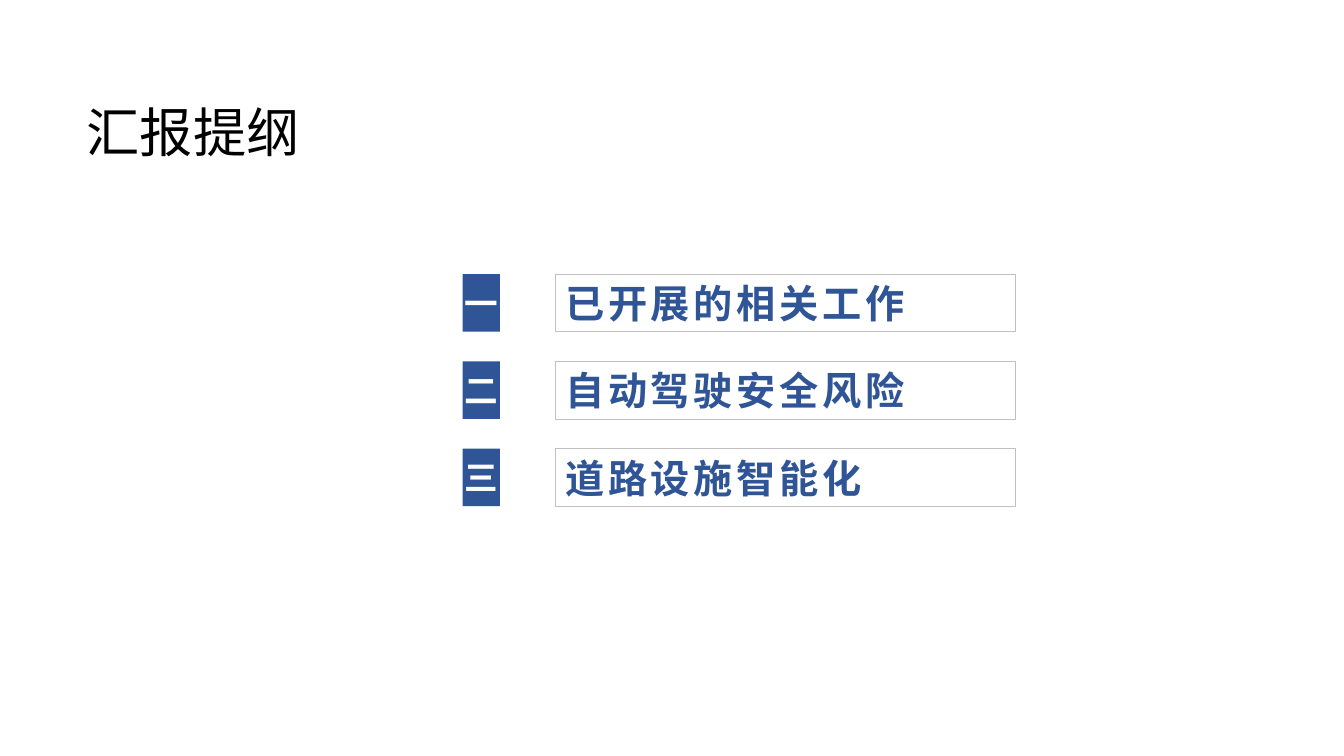
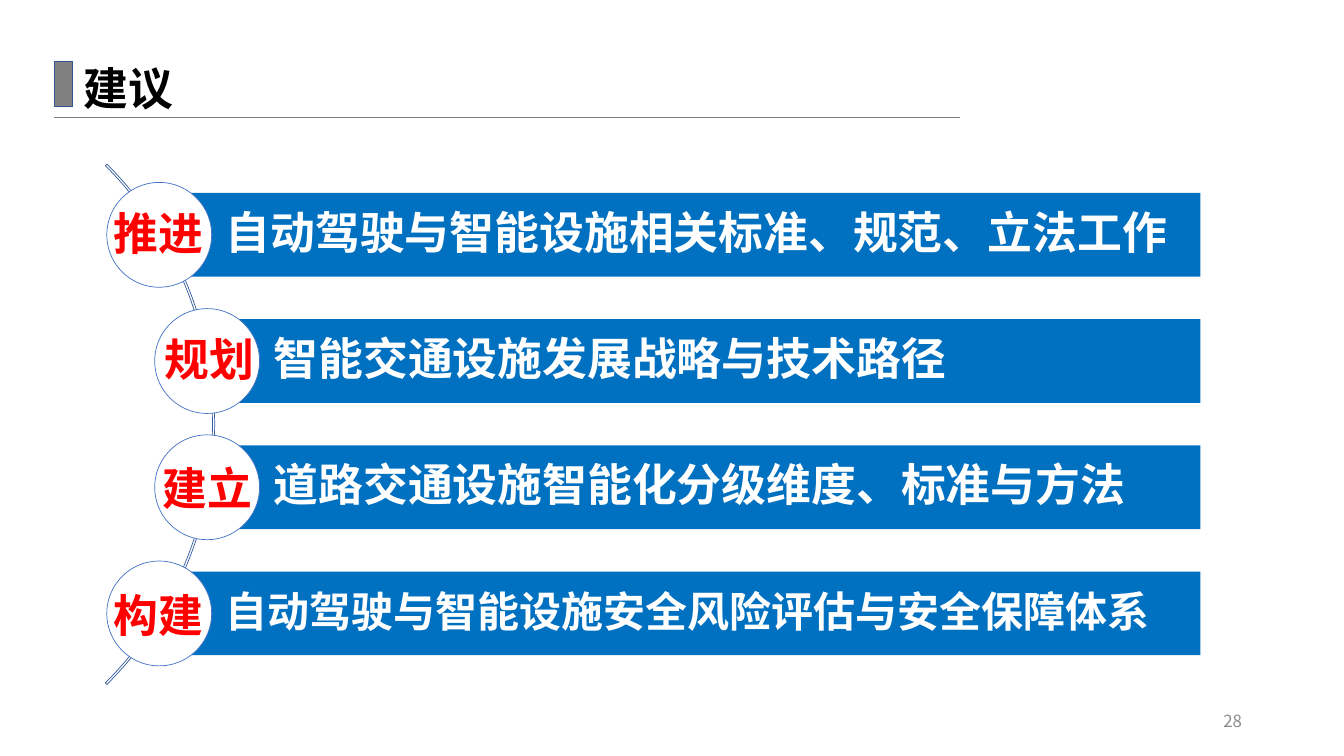
import pptx
import pptx.dml.color
import pptx.enum.shapes
import pptx.enum.text
import pptx.oxml.ns
import pptx.util
from lxml import etree

RGBColor = pptx.dml.color.RGBColor
Shape = pptx.enum.shapes.MSO_SHAPE
Anchor = pptx.enum.text.MSO_ANCHOR
Align = pptx.enum.text.PP_ALIGN

BLACK = RGBColor(0x00, 0x00, 0x00)
WHITE = RGBColor(0xFF, 0xFF, 0xFF)
RED = RGBColor(0xFF, 0x00, 0x00)
NAVY = RGBColor(0x2F, 0x55, 0x97)
BLUE = RGBColor(0x00, 0x70, 0xC0)
CIRCLE_BLUE = RGBColor(0x44, 0x72, 0xC4)
ARC_BLUE = RGBColor(0x36, 0x5B, 0x9D)
MARKER_BLUE = RGBColor(0x32, 0x54, 0x91)
GRAY = RGBColor(0x80, 0x80, 0x80)
SILVER = RGBColor(0xC0, 0xC0, 0xC0)
NUMBER_GRAY = RGBColor(0x8C, 0x8C, 0x8C)

FONT = "Noto Sans CJK SC"
COLUMNS, ROWS = 133.33, 75
CELL = pptx.util.Inches(0.1)
TITLE_ONLY = 5

AGENDA = [("一", "已开展的相关工作"), ("二", "自动驾驶安全风险"), ("三", "道路设施智能化")]
ADVICE = [
    ("推进", "自动驾驶与智能设施相关标准、规范、立法工作", 32, 10.6, (-0.3, 2.4)),
    ("规划", "智能交通设施发展战略与技术路径", 32, 15.35, (0, 2.4)),
    ("建立", "道路交通设施智能化分级维度、标准与方法", 32, 15.35, (-0.2, 2.7)),
    ("构建", "自动驾驶与智能设施安全风险评估与安全保障体系", 30, 10.6, (-0.3, 2.8)),
]


def cells(*counts):
    return [round(count * CELL) for count in counts]


def write(frame, text, size=32, color=BLACK, bold=True, align=Align.LEFT,
          anchor=Anchor.TOP, left=1, line_spacing=None, tracking=None, wrap=True):
    frame.auto_size = pptx.enum.text.MSO_AUTO_SIZE.NONE
    frame.word_wrap = wrap
    frame.vertical_anchor = anchor
    frame.margin_left, frame.margin_right, frame.margin_top, frame.margin_bottom = cells(left, 1, 0.5, 0.5)
    para = frame.paragraphs[0]
    para.alignment = align
    if line_spacing:
        para.line_spacing = line_spacing
    span = para.add_run()
    span.text = text
    span.font.name = FONT
    span.font.size = pptx.util.Pt(size)
    span.font.bold = bold
    span.font.color.rgb = color
    properties = span.font._element
    etree.SubElement(properties, pptx.oxml.ns.qn("a:ea")).set("typeface", FONT)
    if tracking:
        properties.set("spc", str(round(tracking * 100)))


class Board:
    def __init__(self):
        self.deck = pptx.Presentation()
        self.deck.slide_width, self.deck.slide_height = cells(COLUMNS, ROWS)
        self.page = None

    def add_page(self):
        self.page = self.deck.slides.add_slide(self.deck.slide_layouts[TITLE_ONLY])

    def title(self, text, area, **style):
        box = self.page.shapes.title
        box.left, box.top, box.width, box.height = cells(*area)
        write(box.text_frame, text, line_spacing=0.9, **style)

    def label(self, text, area, **style):
        box = self.page.shapes.add_textbox(*cells(*area))
        write(box.text_frame, text, **style)

    def shape(self, kind, area, fill=None, line=None, weight=0.5, adjust=(), text=None, **style):
        box = self.page.shapes.add_shape(kind, *cells(*area))
        box.shadow.inherit = False
        for index, value in enumerate(adjust):
            box.adjustments[index] = value
        if fill is None:
            box.fill.background()
        else:
            box.fill.solid()
            box.fill.fore_color.rgb = fill
        if line is None:
            box.line.fill.background()
        else:
            box.line.color.rgb = line
            box.line.width = pptx.util.Pt(weight)
        if text:
            write(box.text_frame, text, anchor=Anchor.MIDDLE, **style)

    def rule(self, start, end, color, weight=0.5):
        line = self.page.shapes.add_connector(
            pptx.enum.shapes.MSO_CONNECTOR.STRAIGHT, *cells(*start, *end))
        line.line.color.rgb = color
        line.line.width = pptx.util.Pt(weight)
        etree.SubElement(line._element.spPr, pptx.oxml.ns.qn("a:effectLst"))


def build_agenda(board):
    board.add_page()
    board.title("汇报提纲", (7.6, 9, 49.7, 8.9), size=38, bold=False, anchor=Anchor.MIDDLE)
    for index, (number, topic) in enumerate(AGENDA):
        top = 27.2 + 8.66 * index
        board.shape(Shape.RECTANGLE, (45.9, top, 3.7, 5.7), fill=NAVY, text=number,
                    size=24, color=WHITE, align=Align.CENTER, wrap=False)
        board.shape(Shape.ROUNDED_RECTANGLE, (55.1, top, 45.6, 5.7), line=SILVER, adjust=[0],
                    text=topic, size=28, color=NAVY, tracking=2.7)


def build_advice(board):
    board.add_page()
    board.title("建议", (7.3, 6.1, 122.2, 6.6))
    board.shape(Shape.RECTANGLE, (5.4, 6.1, 1.8, 4.5), fill=GRAY, line=MARKER_BLUE, weight=1)
    board.rule((5.4, 11.6), (95.2, 11.6), GRAY)
    board.label("28", (94.2, 69.5, 30, 4), size=12, color=NUMBER_GRAY, bold=False,
                align=Align.RIGHT, anchor=Anchor.MIDDLE)
    board.shape(Shape.BLOCK_ARC, (-51.7, 5.6, 73, 73), line=ARC_BLUE, adjust=[189, 27, 0.003])
    diameter, bar_right = 10.4, 119.1
    for index, (action, task, size, left, (shift, drop)) in enumerate(ADVICE):
        top = 18.1 + 12.52 * index
        middle = left + diameter / 2
        board.shape(Shape.RECTANGLE, (middle, top + 1.05, bar_right - middle, 8.3), fill=BLUE,
                    text=task, size=size, color=WHITE, left=6.6, line_spacing=0.9)
        board.shape(Shape.OVAL, (left, top, diameter, diameter), fill=WHITE, line=CIRCLE_BLUE)
        board.label(action, (left + shift, top + drop, 12.7, 6.6), color=RED, line_spacing=0.9)


def main():
    board = Board()
    build_agenda(board)
    build_advice(board)
    board.deck.save("out.pptx")


if __name__ == "__main__":
    main()
